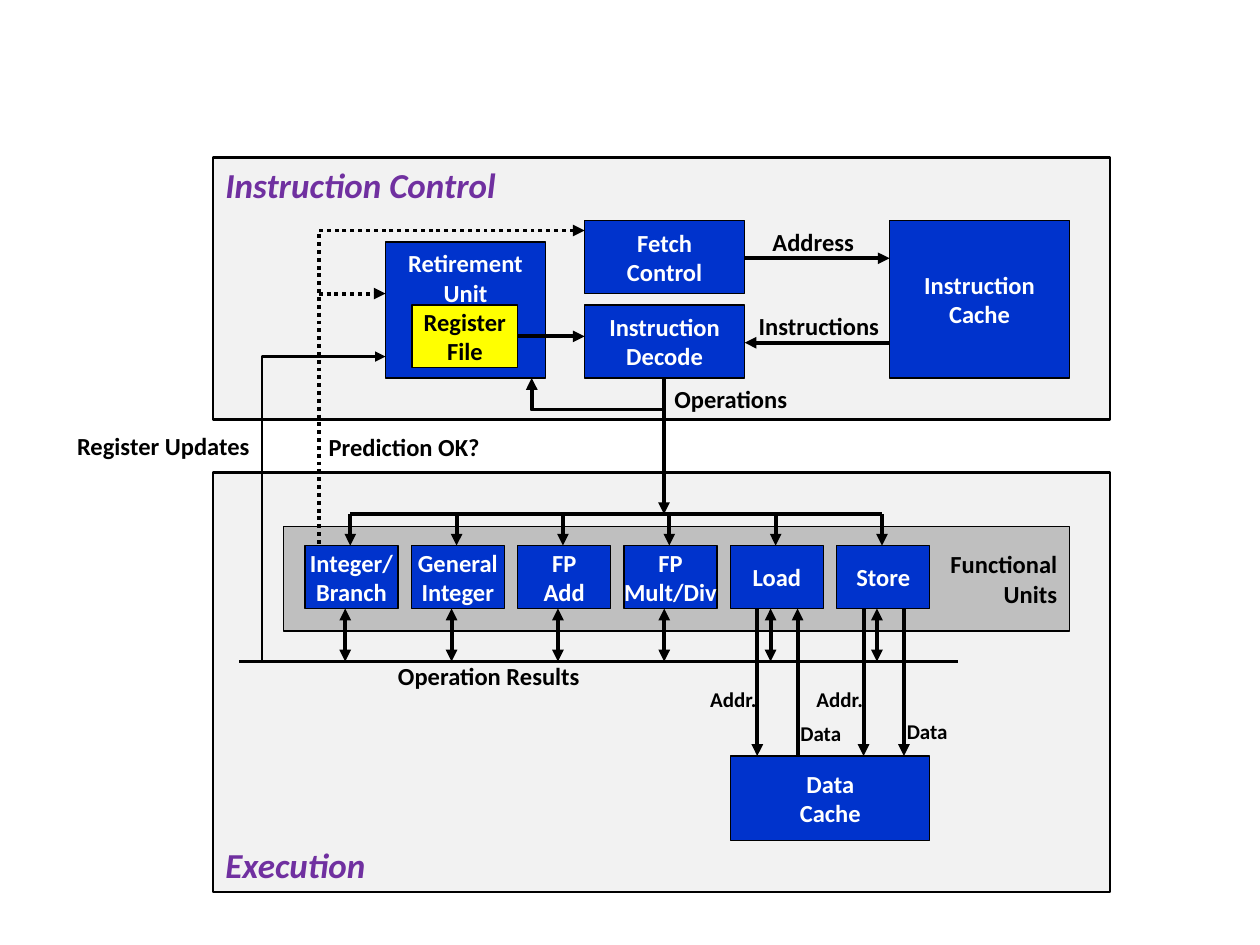
import pptx
import pptx.dml.color
import pptx.enum.dml
import pptx.enum.shapes
import pptx.enum.text
import pptx.oxml
import pptx.oxml.ns
from pptx.util import Inches

BLACK = pptx.dml.color.RGBColor(0x00, 0x00, 0x00)
WHITE = pptx.dml.color.RGBColor(0xFF, 0xFF, 0xFF)
BLUE = pptx.dml.color.RGBColor(0x00, 0x33, 0xCC)
YELLOW = pptx.dml.color.RGBColor(0xFF, 0xFF, 0x00)
PURPLE = pptx.dml.color.RGBColor(0x70, 0x30, 0xA0)
PANEL_GRAY = pptx.dml.color.RGBColor(0xF2, 0xF2, 0xF2)
UNIT_GRAY = pptx.dml.color.RGBColor(0xBF, 0xBF, 0xBF)

LEFT, CENTER, RIGHT = (pptx.enum.text.PP_ALIGN.LEFT, pptx.enum.text.PP_ALIGN.CENTER,
                       pptx.enum.text.PP_ALIGN.RIGHT)
TOP, MIDDLE, BOTTOM = (pptx.enum.text.MSO_ANCHOR.TOP, pptx.enum.text.MSO_ANCHOR.MIDDLE,
                       pptx.enum.text.MSO_ANCHOR.BOTTOM)

UNITS = ["Integer/\nBranch", "General\nInteger", "FP\nAdd", "FP\nMult/Div", "Load", "Store"]
UNIT_PITCH = 0.844


def write(shape, text, size, color, align, anchor, italic=False):
    """Fill a shape with bold, unwrapped text."""
    frame = shape.text_frame
    frame.text = text
    frame.word_wrap = False
    frame.vertical_anchor = anchor
    for para in frame.paragraphs:
        para.alignment = align
        for span in para.runs:
            span.font.name = "Calibri"
            span.font.size = pptx.util.Pt(size)
            span.font.bold = True
            span.font.italic = italic
            span.font.color.rgb = color


def add_block(page, left, top, width, height, text, fill=BLUE, color=WHITE, size=14,
              align=CENTER, anchor=MIDDLE, border=0.75, italic=False):
    """Draw an outlined rectangle with text."""
    block = page.shapes.add_shape(pptx.enum.shapes.MSO_SHAPE.RECTANGLE, Inches(left),
                                  Inches(top), Inches(width), Inches(height))
    block.shadow.inherit = False
    block.fill.solid()
    block.fill.fore_color.rgb = fill
    block.line.color.rgb = BLACK
    block.line.width = pptx.util.Pt(border)
    write(block, text, size, color, align, anchor, italic)


def add_panel(page, left, top, width, height, title, anchor):
    """Draw a large titled panel."""
    add_block(page, left, top, width, height, title, PANEL_GRAY, PURPLE, 20,
              LEFT, anchor, 1.5, True)


def add_label(page, left, top, width, height, text, size=14, align=CENTER):
    """Place a text label."""
    label = page.shapes.add_textbox(Inches(left), Inches(top), Inches(width), Inches(height))
    write(label, text, size, BLACK, align, TOP)
    label.text_frame.auto_size = pptx.enum.text.MSO_AUTO_SIZE.SHAPE_TO_FIT_TEXT


def add_wire(page, points, start=False, end=True, width=2.25, dotted=False):
    """Draw a straight or bent line with arrowheads at the chosen ends."""
    corners = [(Inches(x), Inches(y)) for x, y in points]
    if len(corners) == 2:
        wire = page.shapes.add_connector(pptx.enum.shapes.MSO_CONNECTOR.STRAIGHT,
                                         *corners[0], *corners[1])
    else:
        builder = page.shapes.build_freeform(*corners[0], scale=1.0)
        builder.add_line_segments(corners[1:], close=False)
        wire = builder.convert_to_shape()
        wire.fill.background()
    wire.line.color.rgb = BLACK
    wire.line.width = pptx.util.Pt(width)
    if dotted:
        wire.line.dash_style = pptx.enum.dml.MSO_LINE.ROUND_DOT
    properties = wire.element.spPr
    outline = properties.find(pptx.oxml.ns.qn("a:ln"))
    for name, wanted in (("headEnd", start), ("tailEnd", end)):
        if wanted:
            outline.append(pptx.oxml.parse_xml(
                f'<a:{name} {pptx.oxml.ns.nsdecls("a")} type="triangle"/>'))
    properties.append(pptx.oxml.parse_xml(f'<a:effectLst {pptx.oxml.ns.nsdecls("a")}/>'))


def add_instruction_control(page, left, top, width, height):
    """Draw the instruction control panel with its blocks and wires."""
    add_panel(page, left, top, width, height, "Instruction Control", TOP)
    fetch, cache = left + 2.95, left + 5.37
    add_block(page, cache, top + 0.5, 1.43, 1.25, "Instruction\nCache")
    add_block(page, fetch, top + 0.5, 1.27, 0.58, "Fetch\nControl")
    add_block(page, fetch, top + 1.17, 1.27, 0.58, "Instruction\nDecode")
    add_block(page, left + 1.37, top + 0.67, 1.27, 1.08, "Retirement\nUnit", anchor=TOP)
    add_block(page, left + 1.58, top + 1.17, 0.84, 0.5, "Register\nFile", YELLOW, BLACK)
    add_wire(page, [(fetch + 1.27, top + 0.8), (cache, top + 0.8)])
    add_wire(page, [(cache, top + 1.47), (fetch + 1.27, top + 1.47)])
    add_wire(page, [(left + 2.42, top + 1.42), (fetch, top + 1.42)])
    add_wire(page, [(left + 3.58, top + 2), (left + 2.53, top + 2), (left + 2.53, top + 1.75)])
    add_label(page, left + 4.34, top + 0.5, 0.85, 0.34, "Address")
    add_label(page, left + 4.23, top + 1.17, 1.16, 0.34, "Instructions")
    add_label(page, left + 3.56, top + 1.75, 1.1, 0.34, "Operations")


def add_functional_units(page, left, top, width, height):
    """Draw the functional units between their operation and result buses."""
    add_block(page, left, top, width, height, "Functional\nUnits", UNIT_GRAY, BLACK, align=RIGHT)
    source, upper, lower, results = top - 0.1, top + 0.15, top + 0.65, top + 1.07
    for index, name in enumerate(UNITS):
        unit = left + 0.17 + index * UNIT_PITCH
        add_block(page, unit, upper, 0.74, 0.5, name)
        add_wire(page, [(unit + 0.36, source), (unit + 0.36, upper)])
        add_wire(page, [(unit + 0.32, lower), (unit + 0.32, results)], start=True)
    first = left + 0.53
    add_wire(page, [(first, source), (first + 5 * UNIT_PITCH, source)], end=False)
    add_wire(page, [(left - 0.35, results), (left + 5.35, results)], end=False)
    add_label(page, left + 0.81, top + 1.02, 1.65, 0.34, "Operation Results", align=LEFT)


def add_data_cache(page, left, top, width, height):
    """Draw the data cache with the load and store wires above it."""
    add_block(page, left, top, width, height, "Data\nCache")
    units = top - 1.17
    for unit, data_top, loads in ((left, top - 0.33, True),
                                  (left + UNIT_PITCH, top - 0.35, False)):
        address, data = unit + 0.21, unit + 0.53
        add_wire(page, [(address, units), (address, top)])
        add_wire(page, [(data, units), (data, top)], start=loads, end=not loads)
        add_label(page, unit - 0.27, top - 0.6, 0.58, 0.3, "Addr.", 12)
        add_label(page, unit + 0.45, data_top, 0.53, 0.3, "Data", 12)


def add_execution(page, left, top, width, height):
    """Draw the execution panel with its units and data cache."""
    add_panel(page, left, top, width, height, "Execution", BOTTOM)
    add_functional_units(page, left + 0.56, top + 0.43, 6.24, 0.83)
    add_data_cache(page, left + 4.11, top + 2.25, 1.58, 0.67)


def add_panel_links(page, left, top):
    """Draw the wires that run between the two panels."""
    prediction, updates, retirement = left + 0.84, left + 0.39, left + 1.37
    add_wire(page, [(left + 3.58, top + 1.75), (left + 3.58, top + 2.83)])
    add_wire(page, [(left + 2.95, top + 0.58), (prediction, top + 0.58),
                    (prediction, top + 3.08)], start=True, end=False, dotted=True)
    add_wire(page, [(prediction, top + 1.08), (retirement, top + 1.08)], dotted=True)
    add_wire(page, [(retirement, top + 1.58), (updates, top + 1.58), (updates, top + 4)],
             start=True, end=False, width=1.5)
    add_label(page, left + 0.82, top + 2.13, 1.4, 0.34, "Prediction OK?", align=LEFT)
    add_label(page, left - 1.19, top + 2.12, 1.58, 0.34, "Register Updates", align=RIGHT)


def main():
    """Build the processor diagram slide."""
    deck = pptx.Presentation()
    deck.slide_width, deck.slide_height = Inches(10), Inches(7.5)
    page = deck.slides.add_slide(deck.slide_layouts[6])
    add_execution(page, 1.69, 3.75, 7.12, 3.33)
    add_instruction_control(page, 1.69, 1.25, 7.12, 2.08)
    add_panel_links(page, 1.69, 1.25)
    deck.save("out.pptx")


if __name__ == "__main__":
    main()
